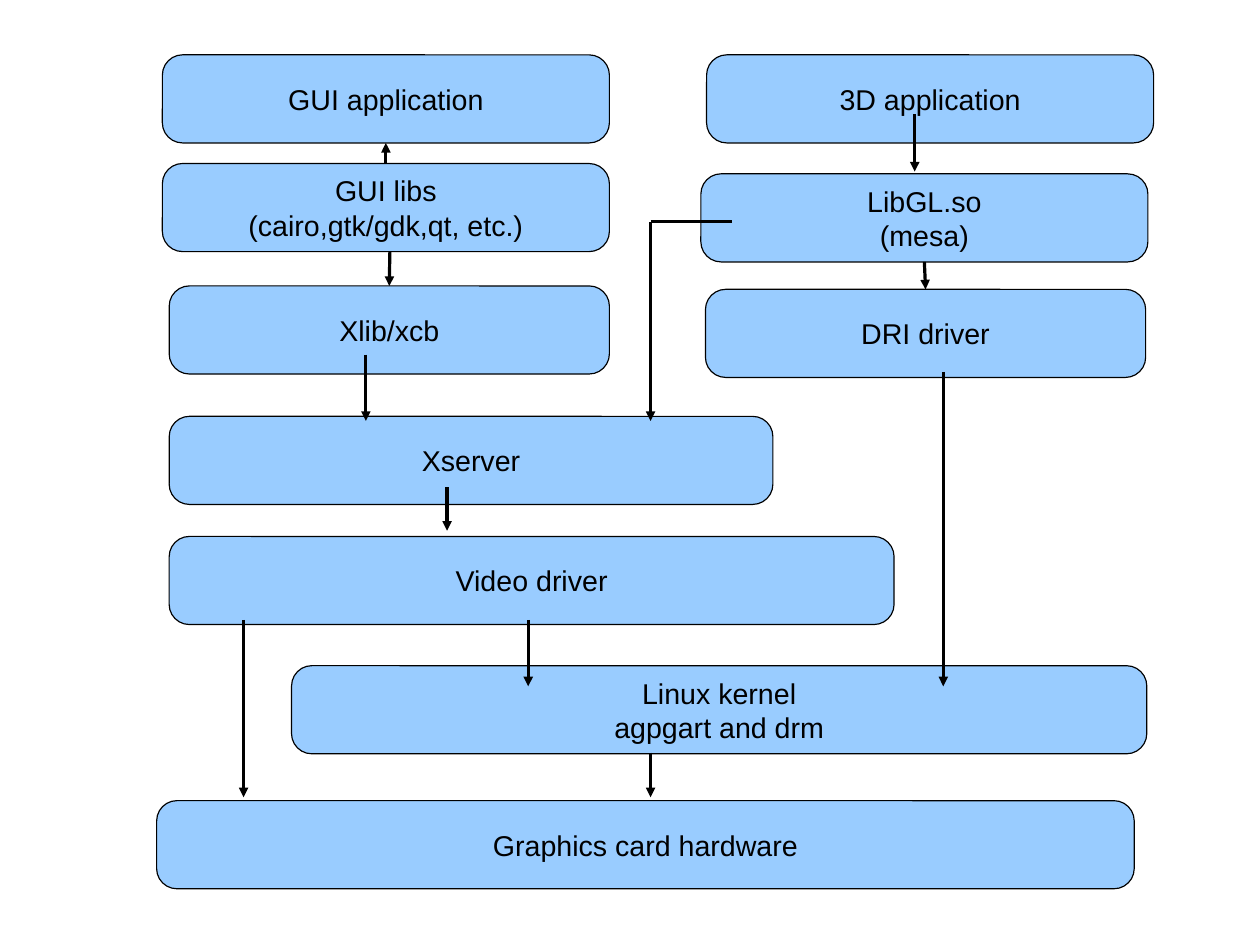
from lxml.etree import SubElement
from pptx import Presentation
from pptx.dml.color import RGBColor
from pptx.enum.shapes import MSO_CONNECTOR as Connector, MSO_SHAPE as Shape
from pptx.enum.text import MSO_ANCHOR as Anchor, PP_ALIGN as Align
from pptx.oxml.ns import qn
from pptx.util import Inches, Pt

COLORS = {"box": "99CCFF", "ink": "000000"}
BOX_HEIGHT = 0.77
TOP, BOTTOM = 0, 2

LAYERS = {
    "gui_libs": (1.42, 1.43, 3.91, ["GUI libs", "(cairo,gtk/gdk,qt, etc.)"]),
    "xlib": (1.48, 2.5, 3.85, ["Xlib/xcb"]),
    "gui_app": (1.42, 0.48, 3.91, ["GUI application"]),
    "xserver": (1.48, 3.64, 5.28, ["Xserver"]),
    "video_driver": (1.48, 4.69, 6.34, ["Video driver"]),
    "kernel": (2.55, 5.82, 7.48, ["Linux kernel", "agpgart and drm"]),
    "3d_app": (6.18, 0.48, 3.91, ["3D application"]),
    "libgl": (6.13, 1.52, 3.91, ["LibGL.so", "(mesa)"]),
    "dri_driver": (6.17, 2.53, 3.85, ["DRI driver"]),
    "hardware": (1.37, 7, 8.55, ["Graphics card hardware"]),
}

JOINS = [("gui_libs", TOP, "gui_app", BOTTOM), ("libgl", BOTTOM, "dri_driver", TOP)]

DOWN_ARROWS = [
    (2.13, 5.42, 6.97),
    (4.62, 5.42, 6),
    (3.91, 4.26, 4.64),
    (3.2, 3.1, 3.68),
    (5.69, 6.58, 6.97),
    (5.69, 1.94, 3.68),
    (8.25, 3.25, 6),
    (8, 1, 1.5),
]


class Diagram:
    """Draws styled boxes and lines on the current slide."""

    def __init__(self, slide, font="Arial", size=18):
        self.shapes = slide.shapes
        self.font = font
        self.size = size

    def color(self, name):
        return RGBColor.from_string(COLORS[name])

    def outline(self, line):
        line.color.rgb = self.color("ink")
        line.width = Pt(0)

    def box(self, left, top, width, texts):
        shape = self.shapes.add_shape(
            Shape.ROUNDED_RECTANGLE,
            Inches(left), Inches(top), Inches(width), Inches(BOX_HEIGHT),
        )
        shape.adjustments[0] = 0.23
        shape.shadow.inherit = False
        shape.fill.solid()
        shape.fill.fore_color.rgb = self.color("box")
        self.outline(shape.line)
        frame = shape.text_frame
        frame.word_wrap = True
        frame.vertical_anchor = Anchor.MIDDLE
        for index, text in enumerate(texts):
            paragraph = frame.add_paragraph() if index else frame.paragraphs[0]
            paragraph.alignment = Align.CENTER
            run = paragraph.add_run()
            run.text = text
            run.font.name = self.font
            run.font.size = Pt(self.size)
            run.font.color.rgb = self.color("ink")
        return shape

    def line(self, x1=0, y1=0, x2=0, y2=0, arrow=True):
        connector = self.shapes.add_connector(
            Connector.STRAIGHT, Inches(x1), Inches(y1), Inches(x2), Inches(y2)
        )
        self.outline(connector.line)
        if arrow:
            SubElement(connector.line._get_or_add_ln(), qn("a:tailEnd"), type="triangle")
        SubElement(connector._element.spPr, qn("a:effectLst"))
        return connector

    def join(self, source, source_side, target, target_side):
        connector = self.line()
        connector.begin_connect(source, source_side)
        connector.end_connect(target, target_side)


def main():
    presentation = Presentation()
    presentation.slide_width = Inches(11.02)
    presentation.slide_height = Inches(8.27)
    slide = presentation.slides.add_slide(presentation.slide_layouts[6])
    diagram = Diagram(slide)

    boxes = {name: diagram.box(*layer) for name, layer in LAYERS.items()}
    for source, source_side, target, target_side in JOINS:
        diagram.join(boxes[source], source_side, boxes[target], target_side)
    diagram.line(3.41, 2.2, 3.41, 2.5).end_connect(boxes["xlib"], TOP)
    for x, start, end in DOWN_ARROWS:
        diagram.line(x, start, x, end)
    diagram.line(5.69, 1.94, 6.4, 1.94, arrow=False)

    presentation.save("out.pptx")


if __name__ == "__main__":
    main()
